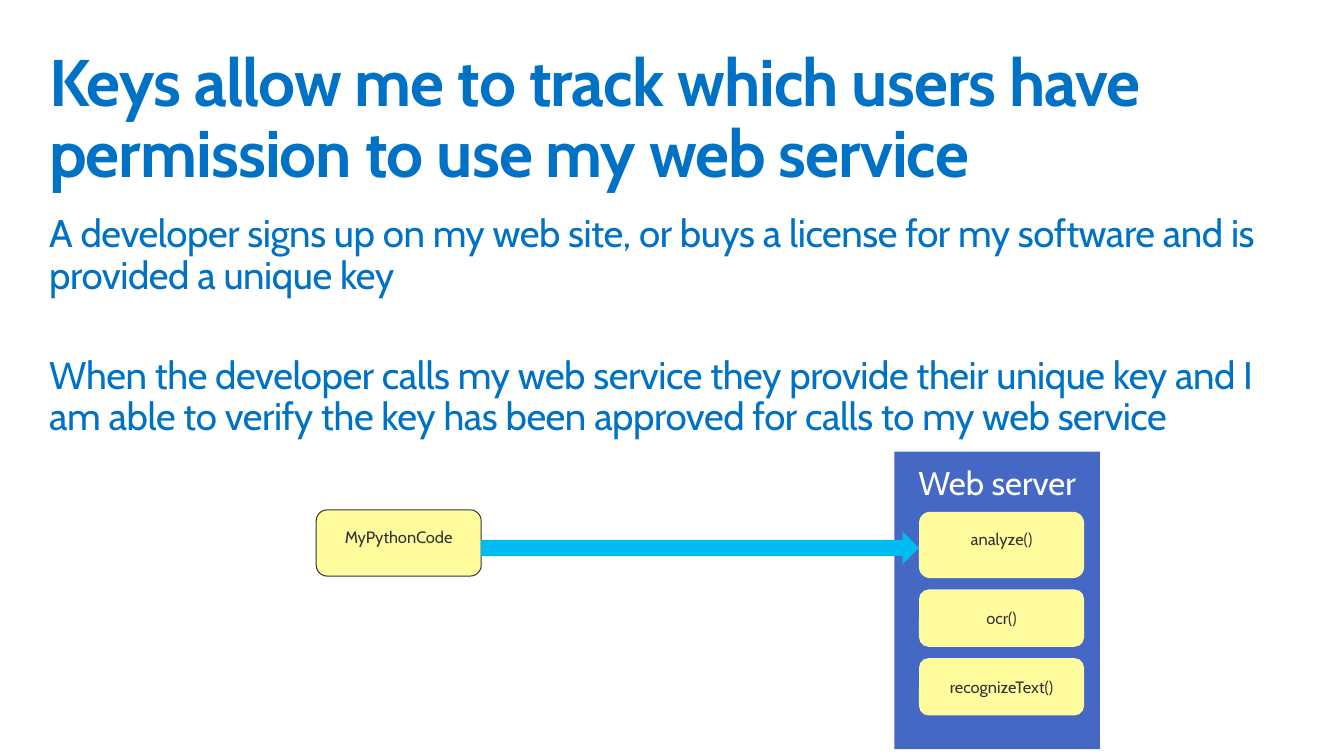
from pptx import Presentation
from pptx.dml.color import RGBColor
from pptx.enum.shapes import MSO_SHAPE
from pptx.enum.text import MSO_ANCHOR, PP_ALIGN
from pptx.util import Inches, Pt

RECT, ROUND = MSO_SHAPE.RECTANGLE, MSO_SHAPE.ROUNDED_RECTANGLE
ARROW = MSO_SHAPE.RIGHT_ARROW
TOP = MSO_ANCHOR.TOP
LEFT, CENTER = PP_ALIGN.LEFT, PP_ALIGN.CENTER

WIDTH, HEIGHT = Inches(13.6), Inches(7.65)
COL, ROW = WIDTH / 136, HEIGHT / 153  # grid of 136 columns and 153 rows
FONT = "Cabin"
COLORS = {
    "title": "0072C6",
    "server": "4668C5",
    "method": "FFFC9E",
    "arrow": "00BCF2",
    "dark": "333333",
    "white": "FFFFFF",
}

TITLE = "Keys allow me to track which users have permission to use my web service"
BODY = [
    "A developer signs up on my web site, or buys a license for my software "
    "and is provided a unique key",
    "When the developer calls my web service they provide their unique key and I "
    "am able to verify the key has been approved for calls to my web service",
]


def color(name):
    return RGBColor.from_string(COLORS[name])


def place(left, top, width, height):
    """Turn columns and rows into slide lengths."""
    return [round(n) for n in (left * COL, top * ROW, width * COL, height * ROW)]


def write(shape, lines, size, ink, align, pad, bold=False, track=0, gap=0, lead=0.9):
    """Fill a shape with paragraphs of one style."""
    frame = shape.text_frame
    frame.word_wrap = True
    frame.vertical_anchor = TOP
    frame.margin_left = frame.margin_right = Inches(pad[0])
    frame.margin_top = frame.margin_bottom = Inches(pad[1])
    for i, line in enumerate(lines):
        para = frame.paragraphs[0] if i == 0 else frame.add_paragraph()
        para.alignment = align
        para.line_spacing = lead
        if i:
            para.space_before = Pt(gap)
        para.font.name = FONT
        para.font.size = Pt(size)
        para.font.bold = bold
        para.font.color.rgb = color(ink)
        run = para.add_run()
        run.text = line
        if track:
            run._r.get_or_add_rPr().set("spc", str(track))


def text(slide, area, lines, size, **style):
    box = slide.shapes.add_textbox(*place(*area))
    write(box, lines, size, "title", LEFT, (0.1, 0.1), **style)


def block(slide, kind, area, fill, label="", size=12, ink="dark", edge=None, lead=0.9):
    shape = slide.shapes.add_shape(kind, *place(*area))
    shape.shadow.inherit = False
    shape.fill.solid()
    shape.fill.fore_color.rgb = color(fill)
    if edge:
        shape.line.color.rgb = color(edge)
        shape.line.width = Pt(0.75)
    else:
        shape.line.fill.background()
    if label:
        write(shape, [label], size, ink, CENTER, (0.2, 0.16), lead=lead)


def main():
    deck = Presentation()
    deck.slide_width, deck.slide_height = WIDTH, HEIGHT
    slide = deck.slides.add_slide(deck.slide_layouts[6])

    # Title and body
    text(slide, (4, 8, 128, 20), [TITLE], 48, bold=True, track=-70)
    text(slide, (4, 41.4, 128, 49.8), BODY, 28, track=-30, gap=42.6)

    # Web server and its methods
    block(slide, RECT, (90.5, 91.4, 20.8, 60.2), "server", "Web server", 24, "white")
    top, gap = 103.6, 2.3
    for label, tall, lead in (
        ("analyze()", 13.4, 0.9),
        ("ocr()", 11.6, 1.0),
        ("recognizeText()", 11.6, 1.0),
    ):
        block(slide, ROUND, (93, top, 16.7, tall), "method", label, lead=lead)
        top += tall + gap

    # Client and its call
    block(slide, ROUND, (32, 103.2, 16.7, 13.4), "method", "MyPythonCode", edge="dark")
    block(slide, ARROW, (48.7, 107.6, 44.3, 6.6), "arrow")

    deck.save("out.pptx")


if __name__ == "__main__":
    main()
